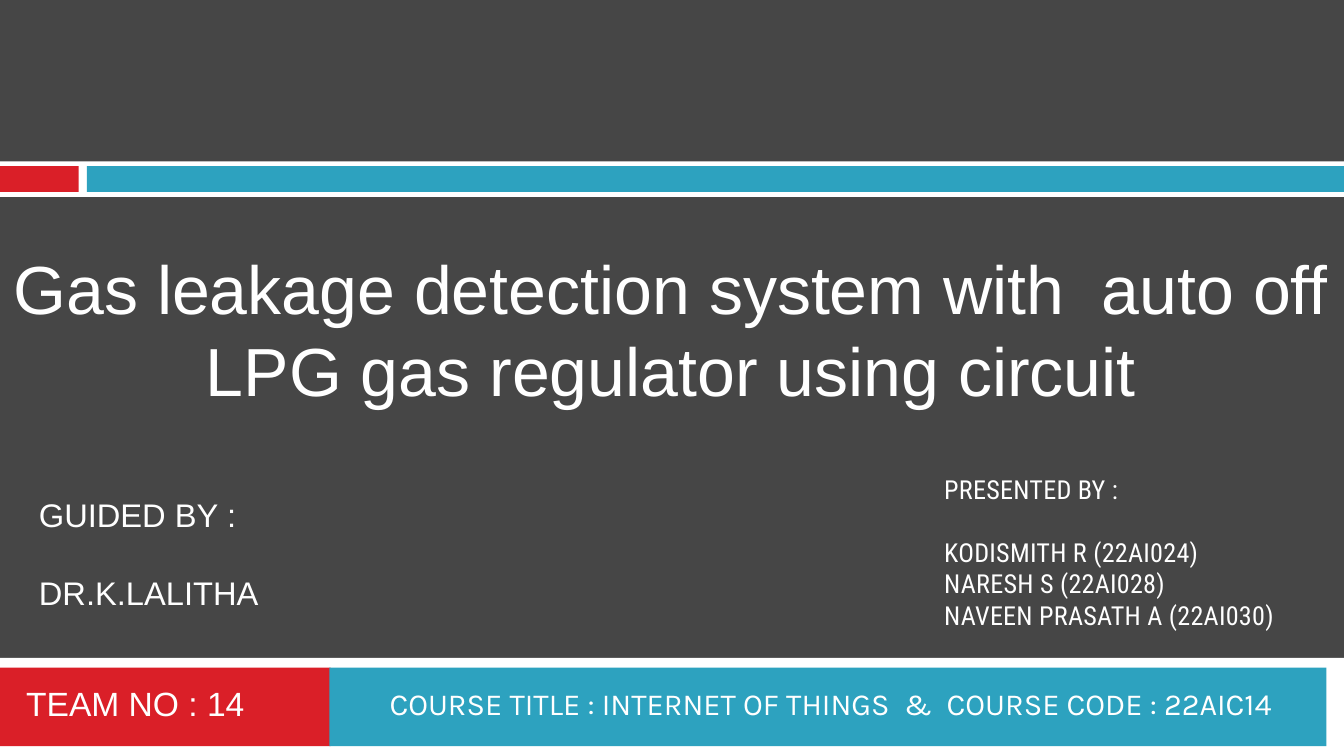
"""Build the title slide of a gas leakage detection project."""
import pptx
import pptx.dml.color
import pptx.enum.shapes
import pptx.enum.text
import pptx.util

Cm, Pt = pptx.util.Cm, pptx.util.Pt
ALIGN = pptx.enum.text.PP_ALIGN

THEME = {
    "colors": {"ground": "464646", "white": "FFFFFF", "red": "DA1F28", "teal": "2DA2BF"},
    "styles": {
        "title": {"font": "Arial", "size": 72.9, "line": 87.5, "align": ALIGN.CENTER},
        "guide": {"font": "Arial", "size": 35, "line": 42, "align": ALIGN.LEFT},
        "team": {"font": "Arial", "size": 36, "line": 43.2, "align": ALIGN.LEFT},
        "course": {"font": "Karla", "size": 32.8, "line": 45.9, "align": ALIGN.CENTER},
        "presenters": {"font": "Roboto Condensed", "size": 28, "line": 33.6,
                       "align": ALIGN.LEFT, "tracking": 30},
    },
}

SLIDE_WIDTH, SLIDE_HEIGHT = 50.8, 28.58

TEXTS = [
    ("guide", True, (1.47, 18.69, 14.48, 6.1), ["GUIDED BY :", "DR.K.LALITHA"]),
    ("team", False, (0.99, 25.81, 10.52, 1.68), ["TEAM NO : 14"]),
    ("title", False, (0.5, 9.32, 49.76, 6.32),
     ["Gas leakage detection system with  auto off", "LPG gas regulator using circuit"]),
    ("course", False, (12.65, 25.65, 37.49, 1.7),
     ["COURSE TITLE : INTERNET OF THINGS  &  COURSE CODE : 22AIC14"]),
    ("presenters", True, (35.69, 17.91, 13.39, 5.99),
     ["PRESENTED BY :", "KODISMITH R (22AI024)", "NARESH S (22AI028)",
      "NAVEEN PRASATH A (22AI030)"]),
]

BANDS = [
    {"top": 6.1, "height": 1.34, "inset": 0.18,
     "parts": [("red", 0, 2.97), ("teal", 3.28, SLIDE_WIDTH)]},
    {"top": 24.87, "height": 3.71, "inset": 0.37,
     "parts": [("red", 0, 12.5), ("teal", 12.45, 50.14)]},
]


def color(name):
    """Return a theme colour."""
    return pptx.dml.color.RGBColor.from_string(THEME["colors"][name])


def add_bar(slide, fill, left, top, right, height):
    """Draw one flat bar."""
    bar = slide.shapes.add_shape(pptx.enum.shapes.MSO_SHAPE.RECTANGLE,
                                 Cm(left), Cm(top), Cm(right - left), Cm(height))
    bar.shadow.inherit = False
    bar.fill.solid()
    bar.fill.fore_color.rgb = color(fill)
    bar.line.fill.background()


def add_band(slide, band):
    """Draw a white band with its coloured parts inset."""
    add_bar(slide, "white", 0, band["top"], SLIDE_WIDTH, band["height"])
    for fill, left, right in band["parts"]:
        add_bar(slide, fill, left, band["top"] + band["inset"], right,
                band["height"] - 2 * band["inset"])


def add_text(slide, style_name, heading_gap, box, lines):
    """Write lines in one style, with an optional gap below the heading."""
    style = THEME["styles"][style_name]
    frame = slide.shapes.add_textbox(*map(Cm, box)).text_frame
    frame.word_wrap = True
    frame.margin_left = frame.margin_top = frame.margin_right = frame.margin_bottom = 0
    for index, line in enumerate(lines):
        paragraph = frame.add_paragraph() if index else frame.paragraphs[0]
        paragraph.alignment = style["align"]
        paragraph.line_spacing = Pt(style["line"])
        if heading_gap and index == 1:
            paragraph.space_before = Pt(style["line"])
        paragraph.font.name = style["font"]
        paragraph.font.size = Pt(style["size"])
        paragraph.font.color.rgb = color("white")
        run = paragraph.add_run()
        run.text = line
        if "tracking" in style:
            run.font._element.set("spc", str(style["tracking"]))


def main():
    """Assemble and save the slide."""
    deck = pptx.Presentation()
    deck.slide_width, deck.slide_height = Cm(SLIDE_WIDTH), Cm(SLIDE_HEIGHT)
    slide = deck.slides.add_slide(deck.slide_layouts[6])
    slide.background.fill.solid()
    slide.background.fill.fore_color.rgb = color("ground")
    for band in BANDS:
        add_band(slide, band)
    for text in TEXTS:
        add_text(slide, *text)
    deck.save("out.pptx")


if __name__ == "__main__":
    main()
